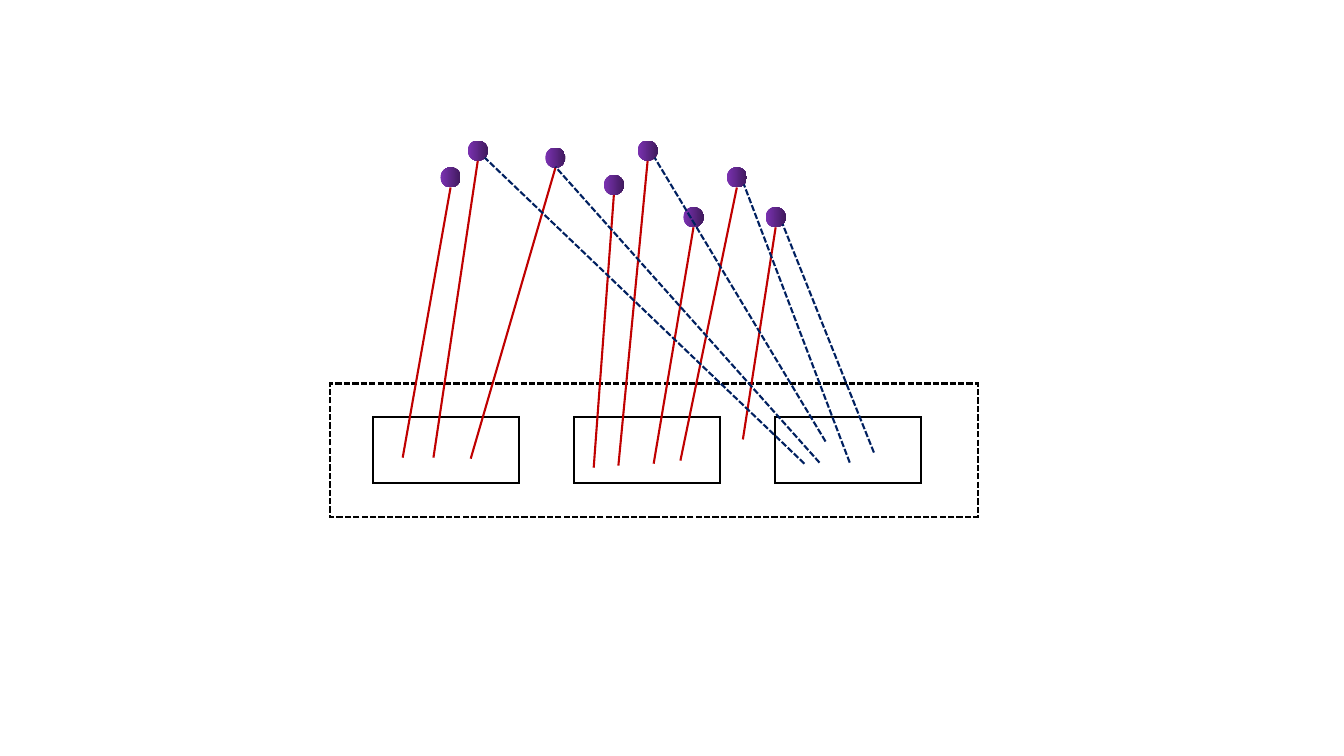
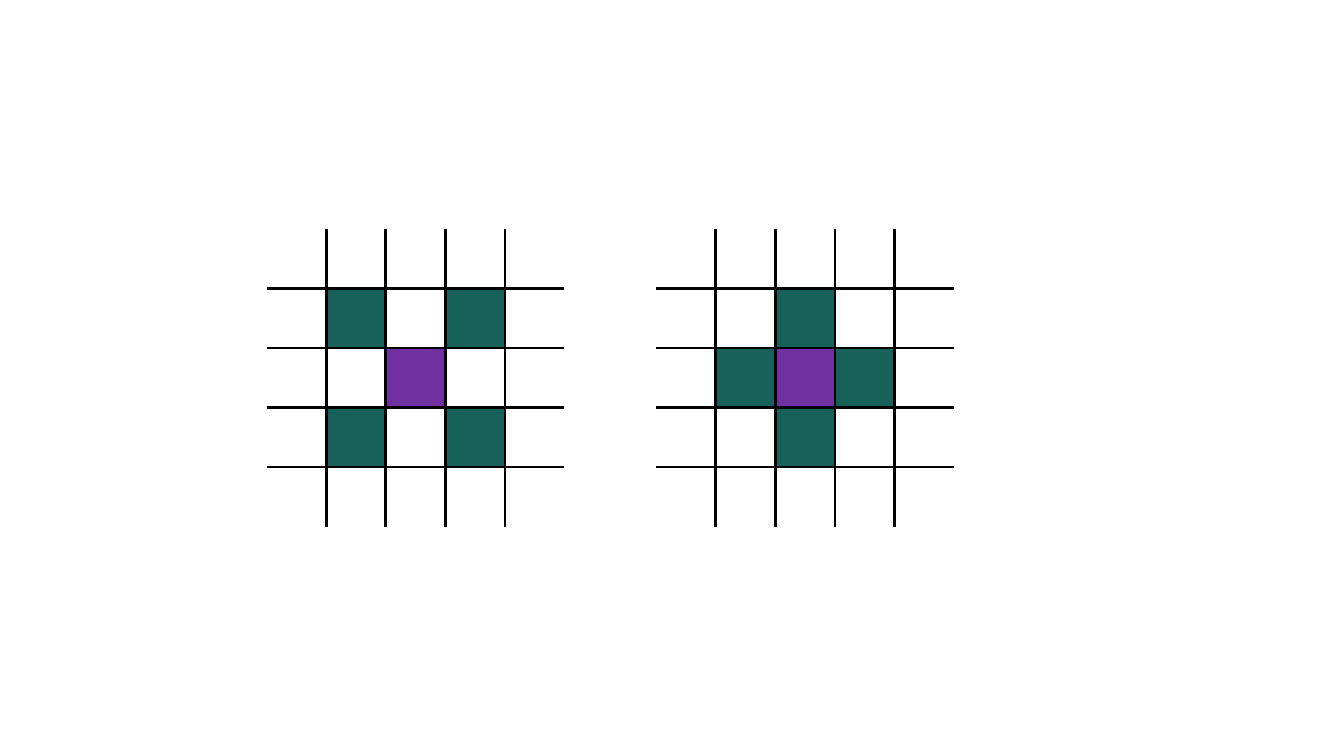
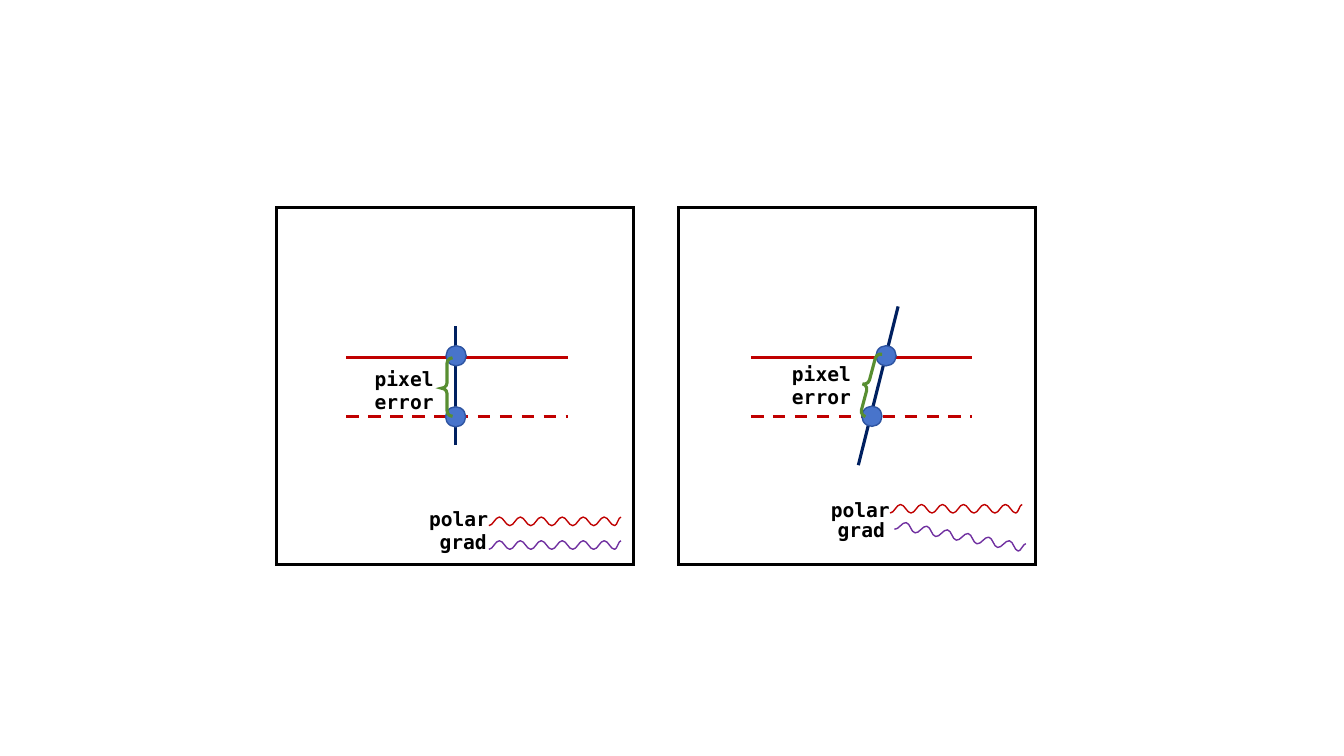
from dataclasses import dataclass
from typing import Optional

from lxml import etree
from pptx import Presentation
from pptx import util as u
from pptx.dml.color import RGBColor
from pptx.enum import dml, shapes, text
from pptx.oxml import ns

Point = tuple[float, float]

# Columns and rows of the slide grid are a tenth of an inch.
UNIT = u.Inches(0.1)
SLIDE_COLS, SLIDE_ROWS = 133.33, 75

BLACK = RGBColor(0x00, 0x00, 0x00)
RED = RGBColor(0xC0, 0x00, 0x00)
NAVY = RGBColor(0x00, 0x20, 0x60)
PURPLE = RGBColor(0x70, 0x30, 0xA0)
LIGHT_PURPLE = RGBColor(0x7B, 0x32, 0xB2)
DARK_PURPLE = RGBColor(0x40, 0x1A, 0x5D)
TEAL = RGBColor(0x18, 0x60, 0x5A)
BLUE = RGBColor(0x48, 0x74, 0xCB)
DARK_BLUE = RGBColor(0x2E, 0x54, 0xA1)
GREEN = RGBColor(0x58, 0x8E, 0x31)

SHORT_DASH = dml.MSO_LINE.SQUARE_DOT
DASH = dml.MSO_LINE.DASH
THIN, MEDIUM, THICK = 1, 1.5, 2.25
DOT_SIZE = 2

LABEL_FONT = {"name": "DejaVu Sans Mono", "size": u.Pt(14), "bold": True}
NO_STYLE_TABLE = "{2D5ABB26-0587-4C30-8999-92F81FD0307C}"


@dataclass(frozen=True)
class Feature:
    """A point at its centre, its match, and a second match if it has one."""
    col: float
    row: float
    match: Point
    second: Optional[Point] = None
    second_start: Point = (0.7, 0.7)


@dataclass(frozen=True)
class Neighbourhood:
    col: float
    neighbours: tuple[tuple[int, int], ...]


@dataclass(frozen=True)
class Box:
    col: float
    row: float
    width: float
    height: float
    turn: float = 0


@dataclass(frozen=True)
class Panel:
    """One error case; all places count from the panel's corner."""
    col: float
    level_start: float
    pole: tuple[Point, Point]
    crossings: tuple[Point, Point]
    brace: Box
    error_at: Point
    polar_at: Point
    grad_at: Point
    polar_wave: Box
    grad_wave: Box


FEATURES = (
    Feature(44.7, 17.6, (39.95, 45.4)),
    Feature(47.4, 14.95, (43, 45.4), (79.8, 46)),
    Feature(55.1, 15.65, (46.7, 45.5), (81.3, 45.9), (0, 0.9)),
    Feature(64.25, 14.95, (61.35, 46.2), (81.9, 43.8)),
    Feature(60.9, 18.35, (58.9, 46.4)),
    Feature(68.8, 21.55, (64.85, 46)),
    Feature(73.1, 17.6, (67.5, 45.7), (84.3, 45.9)),
    Feature(76.95, 21.55, (73.7, 43.6), (86.7, 44.9)),
)

CELL, GRID_SIZE, GRID_ROW = 5.91, 5, 22.7
NEIGHBOURHOODS = (
    Neighbourhood(65.1, ((1, 2), (2, 1), (2, 3), (3, 2))),
    Neighbourhood(26.45, ((1, 1), (1, 3), (3, 1), (3, 3))),
)

PANEL_ROW, PANEL_SIZE = 20.6, 35.43
LEVEL_WIDTH, TRUE_LEVEL, DASHED_LEVEL = 21.95, 14.9, 20.7
WAVE_WIDTH, WAVE_HEIGHT, HALF_WAVE = 13.1, 0.85, 1.04
PANELS = (
    Panel(27.45, 6.9, ((17.75, 23.55), (17.75, 11.75)), ((17.75, 20.75), (17.8, 14.7)),
          Box(16.35, 14.9, 1.1, 5.8), (7.45, 15.3), (13.95, 29.2), (15.05, 31.5),
          Box(21.05, 30.7, WAVE_WIDTH, WAVE_HEIGHT), Box(21.05, 33.05, WAVE_WIDTH, WAVE_HEIGHT)),
    Panel(67.3, 7.2, ((17.85, 25.55), (21.8, 9.8)), ((19.2, 20.7), (20.6, 14.7)),
          Box(18.3, 14.3, 1.1, 6.4, 15), (9, 14.8), (13.95, 28.3), (14.7, 30.3),
          Box(21, 29.45, WAVE_WIDTH, WAVE_HEIGHT), Box(21.4, 32.2, WAVE_WIDTH, WAVE_HEIGHT, 10)),
)


def grid(*counts: float) -> list[int]:
    return [round(count * UNIT) for count in counts]


def style_line(line, color: RGBColor, width: float, dash=None) -> None:
    line.color.rgb = color
    line.width = u.Pt(width)
    if dash is not None:
        line.dash_style = dash


def add_outline(slide, kind, box: Box, color: RGBColor, width: float, dash=None):
    """Draw an unfilled preset shape with sharp corners."""
    shape = slide.shapes.add_shape(kind, *grid(box.col, box.row, box.width, box.height))
    shape.shadow.inherit = False
    shape.rotation = box.turn
    shape.fill.background()
    style_line(shape.line, color, width, dash)
    outline = shape._element.spPr.find(ns.qn("a:ln"))
    etree.SubElement(outline, ns.qn("a:miter"), lim="800000")
    return shape


def add_line(slide, start: Point, end: Point, color: RGBColor, width: float, dash=None) -> None:
    line = slide.shapes.add_connector(shapes.MSO_CONNECTOR.STRAIGHT, *grid(*start, *end))
    style_line(line.line, color, width, dash)
    etree.SubElement(line._element.spPr, ns.qn("a:effectLst"))


def add_dot(slide, col: float, row: float):
    box = Box(col - DOT_SIZE / 2, row - DOT_SIZE / 2, DOT_SIZE, DOT_SIZE)
    return add_outline(slide, shapes.MSO_SHAPE.OVAL, box, DARK_BLUE, THIN)


def add_label(slide, words: str, at: Point, width: float, height: float) -> None:
    frame = slide.shapes.add_textbox(*grid(*at, width, height)).text_frame
    frame.word_wrap = True
    paragraph = frame.paragraphs[0]
    paragraph.alignment = text.PP_ALIGN.CENTER
    run = paragraph.add_run()
    run.text = words
    for key, value in LABEL_FONT.items():
        setattr(run.font, key, value)
    run.font.color.rgb = BLACK


def round_segments(outline) -> None:
    """Turn each straight segment into a curve that is level at both ends."""
    point = outline.find(".//" + ns.qn("a:moveTo")).find(ns.qn("a:pt"))
    last_x, last_y = int(point.get("x")), int(point.get("y"))
    for segment in list(outline.iter(ns.qn("a:lnTo"))):
        point = segment.find(ns.qn("a:pt"))
        x, y = int(point.get("x")), int(point.get("y"))
        reach = round((x - last_x) * 0.4)
        curve = etree.Element(ns.qn("a:cubicBezTo"))
        for across, down in ((last_x + reach, last_y), (x - reach, y), (x, y)):
            etree.SubElement(curve, ns.qn("a:pt"), x=str(across), y=str(down))
        segment.getparent().replace(segment, curve)
        last_x, last_y = x, y


def add_wave(slide, box: Box, color: RGBColor) -> None:
    """Draw a wave that starts in a trough at the box's lower left."""
    turns = int(box.width / HALF_WAVE) + 2
    points = [tuple(grid(box.col + min(turn * HALF_WAVE, box.width),
                         box.row + (0 if turn % 2 else box.height)))
              for turn in range(turns)]
    builder = slide.shapes.build_freeform(*points[0])
    builder.add_line_segments(points[1:], close=False)
    wave = builder.convert_to_shape()
    round_segments(wave._element)
    wave.shadow.inherit = False
    wave.rotation = box.turn
    wave.fill.background()
    style_line(wave.line, color, THIN)


def set_border(cell, side: str, visible: bool) -> None:
    props = cell._tc.get_or_add_tcPr()
    line = etree.SubElement(props, ns.qn(f"a:ln{side}"), w=str(u.Pt(THICK)))
    if visible:
        fill = etree.SubElement(line, ns.qn("a:solidFill"))
        etree.SubElement(fill, ns.qn("a:srgbClr"), val=str(BLACK))
    else:
        etree.SubElement(line, ns.qn("a:noFill"))


def add_neighbourhood(slide, area: Neighbourhood) -> None:
    """Draw a pixel grid that is open at its outer edges."""
    side = CELL * GRID_SIZE
    table = slide.shapes.add_table(
        GRID_SIZE, GRID_SIZE, *grid(area.col, GRID_ROW, side, side)).table
    table.first_row = table.horz_banding = False
    table._tbl.tblPr.find(ns.qn("a:tableStyleId")).text = NO_STYLE_TABLE
    last, centre = GRID_SIZE - 1, (GRID_SIZE // 2, GRID_SIZE // 2)
    fills = {place: TEAL for place in area.neighbours} | {centre: PURPLE}
    for row in range(GRID_SIZE):
        for col in range(GRID_SIZE):
            cell = table.cell(row, col)
            inner = {"L": col > 0, "R": col < last, "T": row > 0, "B": row < last}
            for edge, visible in inner.items():
                set_border(cell, edge, visible)
            if (row, col) in fills:
                cell.fill.solid()
                cell.fill.fore_color.rgb = fills[row, col]
            else:
                cell.fill.background()


def draw_matching(slide) -> None:
    rectangle = shapes.MSO_SHAPE.RECTANGLE
    for index in range(3):
        add_outline(slide, rectangle, Box(37 + 19.95 * index, 41.4, 14.5, 6.5), BLACK, MEDIUM)
    add_outline(slide, rectangle, Box(32.75, 38.05, 64.25, 13.25), BLACK, MEDIUM, SHORT_DASH)
    for feature in FEATURES:
        dot = add_dot(slide, feature.col, feature.row)
        dot.line.fill.background()
        dot.fill.gradient()
        dot.fill.gradient_angle = 0
        for stop, color in zip(dot.fill.gradient_stops, (LIGHT_PURPLE, DARK_PURPLE)):
            stop.color.rgb = color
    for feature in FEATURES:
        bottom = (feature.col, feature.row + DOT_SIZE / 2)
        add_line(slide, feature.match, bottom, RED, MEDIUM)
    for feature in FEATURES:
        if feature.second:
            across, down = feature.second_start
            start = (feature.col + across, feature.row + down)
            add_line(slide, feature.second, start, NAVY, MEDIUM, SHORT_DASH)


def draw_neighbourhoods(slide) -> None:
    for area in NEIGHBOURHOODS:
        add_neighbourhood(slide, area)


def draw_panel(slide, panel: Panel) -> None:
    def place(point: Point) -> Point:
        return panel.col + point[0], PANEL_ROW + point[1]

    def place_box(box: Box) -> Box:
        return Box(*place((box.col, box.row)), box.width, box.height, box.turn)

    frame = Box(panel.col, PANEL_ROW, PANEL_SIZE, PANEL_SIZE)
    add_outline(slide, shapes.MSO_SHAPE.RECTANGLE, frame, BLACK, THICK)
    add_wave(slide, place_box(panel.polar_wave), RED)
    add_wave(slide, place_box(panel.grad_wave), PURPLE)
    for level, dash in ((TRUE_LEVEL, None), (DASHED_LEVEL, DASH)):
        add_line(slide, place((panel.level_start, level)),
                 place((panel.level_start + LEVEL_WIDTH, level)), RED, THICK, dash)
    add_line(slide, *map(place, panel.pole), NAVY, THICK)
    for crossing in panel.crossings:
        dot = add_dot(slide, *place(crossing))
        dot.fill.solid()
        dot.fill.fore_color.rgb = BLUE
    brace = add_outline(slide, shapes.MSO_SHAPE.LEFT_BRACE, place_box(panel.brace), GREEN, THICK)
    brace.adjustments[0], brace.adjustments[1] = 0.49, 0.52
    add_label(slide, "polar", place(panel.polar_at), 8.2, 3.4)
    add_label(slide, "grad", place(panel.grad_at), 6.9, 3.4)
    add_label(slide, "pixel error", place(panel.error_at), 10.4, 5.7)


def draw_errors(slide) -> None:
    for panel in PANELS:
        draw_panel(slide, panel)


def main() -> None:
    deck = Presentation()
    deck.slide_width, deck.slide_height = grid(SLIDE_COLS, SLIDE_ROWS)
    blank = deck.slide_layouts[6]
    for draw in (draw_matching, draw_neighbourhoods, draw_errors):
        draw(deck.slides.add_slide(blank))
    deck.save("out.pptx")


if __name__ == "__main__":
    main()
